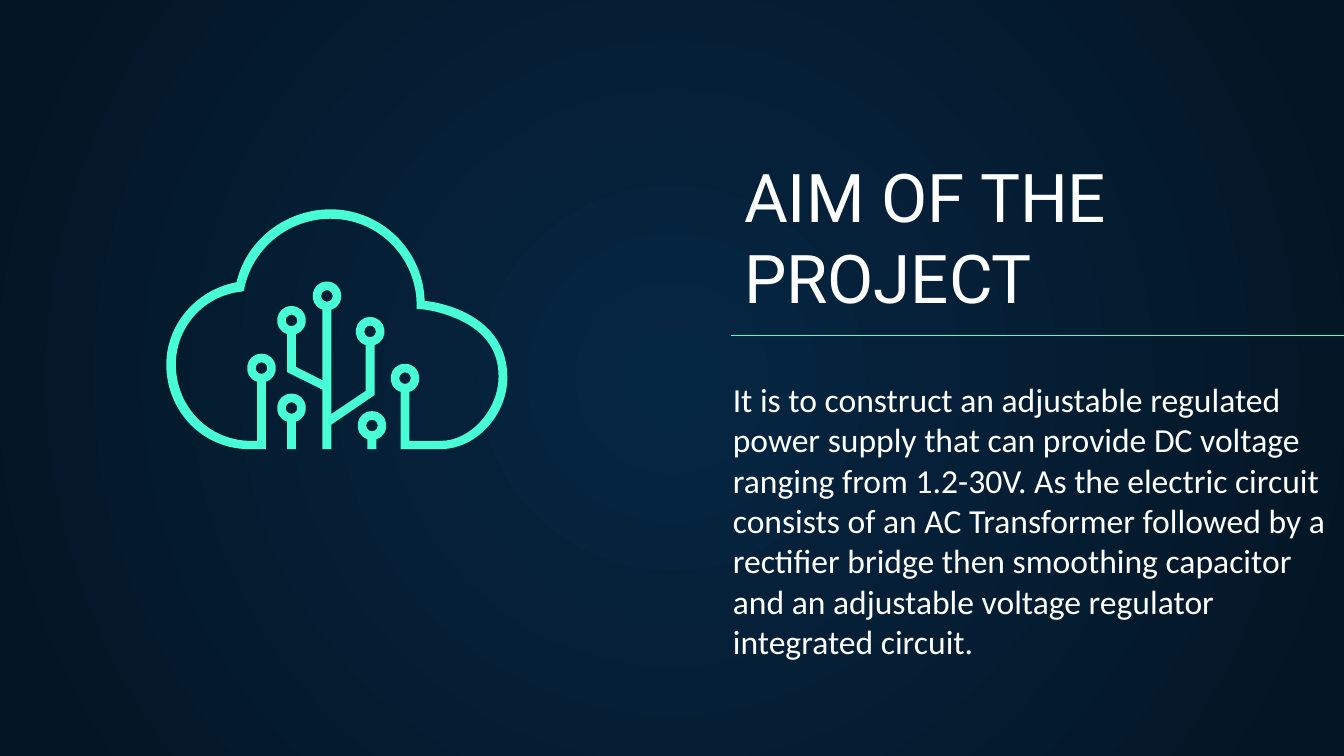
import math
from dataclasses import dataclass

from lxml import etree
from pptx import Presentation
from pptx.dml.color import RGBColor
from pptx.enum.shapes import MSO_CONNECTOR
from pptx.enum.text import MSO_ANCHOR, MSO_AUTO_SIZE, PP_ALIGN
from pptx.oxml.ns import qn
from pptx.util import Pt

LEFT = PP_ALIGN.LEFT
TOP, BOTTOM = MSO_ANCHOR.TOP, MSO_ANCHOR.BOTTOM
NO_FIT = MSO_AUTO_SIZE.NONE
STRAIGHT = MSO_CONNECTOR.STRAIGHT

WHITE = RGBColor(0xFF, 0xFF, 0xFF)
MINT = RGBColor(0x48, 0xFF, 0xD5)
NAVY = RGBColor(0x05, 0x26, 0x43)
MIDNIGHT = RGBColor(0x04, 0x15, 0x23)

# Icon measures, in points
RING, HOLE, HALF_STEM = 7.7, 3.1, 2.4
BASE, INNER_BASE = 240.6, 236.2

Point = tuple[float, float]
Segment = tuple[Point, ...]  # one point is a corner, three are a cubic curve
Contour = list[Segment]


@dataclass
class Node:
    x: float
    y: float

    @property
    def left(self) -> float:
        return self.x - HALF_STEM

    @property
    def right(self) -> float:
        return self.x + HALF_STEM

    def head(self) -> Contour:
        """Ring outline from the stem's right side over the top to its left."""
        gap = math.asin(HALF_STEM / RING)
        return arc(self, RING, gap, 2 * math.pi - gap, 2)

    def hole(self) -> Contour:
        return arc(self, HOLE, 2 * math.pi, 0, 3)


@dataclass
class TextBlock:
    text: str
    box: tuple[float, float, float, float]
    anchor: MSO_ANCHOR
    font: str
    size: float


def corners(*pts: Point) -> Contour:
    return [(p,) for p in pts]


def curves(start: Point, *pts: Point) -> Contour:
    """A start corner and joined cubic curves, three points for each."""
    return [(start,), *(pts[i:i + 3] for i in range(0, len(pts), 3))]


def arc(node: Node, radius: float, start: float, end: float, parts: int) -> Contour:
    """Cubic curves along a circle, with angles counted from straight down."""
    step = (end - start) / parts
    pull = 4 / 3 * math.tan(step / 4)

    def at(angle: float, tangent: float) -> Point:
        sin, cos = math.sin(angle), math.cos(angle)
        return (node.x + radius * (sin + tangent * cos),
                node.y + radius * (cos - tangent * sin))

    pts = [at(start, 0)]
    for i in range(parts):
        a, b = start + i * step, start + (i + 1) * step
        pts += [at(a, pull), at(b, -pull), at(b, 0)]
    return curves(*pts)


def draw_outline(shapes, contours: list[Contour]) -> None:
    builder = None
    for contour in contours:
        first, *rest = [(Pt(x), Pt(y)) for seg in contour for x, y in seg]
        if builder is None:
            builder = shapes.build_freeform(*first)
        else:
            builder.move_to(*first)
        builder.add_line_segments(rest, close=True)
    shape = builder.convert_to_shape()

    # Join each curve's three line steps into one cubic
    steps = iter(list(shape._element.iter(qn("a:lnTo"))))
    for seg in (seg for contour in contours for seg in contour[1:]):
        step = next(steps)
        if len(seg) == 3:
            step.tag = qn("a:cubicBezTo")
            for extra in (next(steps), next(steps)):
                step.append(extra[0])
                extra.getparent().remove(extra)

    shape.shadow.inherit = False
    shape.fill.solid()
    shape.fill.fore_color.rgb = MINT
    shape.line.fill.background()


def fill_text(shape, block: TextBlock) -> None:
    for name, value in zip(("left", "top", "width", "height"), block.box):
        setattr(shape, name, Pt(value))
    tf = shape.text_frame
    frame_format = {"word_wrap": True, "auto_size": NO_FIT,
                    "vertical_anchor": block.anchor}
    frame_format.update({f"margin_{side}": Pt(7.2)
                         for side in ("left", "top", "right", "bottom")})
    p = tf.paragraphs[0]
    r = p.add_run()
    r.text = block.text
    formats = (
        (tf, frame_format),
        (p, {"alignment": LEFT, "space_before": Pt(0)}),
        (r.font, {"name": block.font, "size": Pt(block.size), "bold": False}),
    )
    for target, values in formats:
        for name, value in values.items():
            setattr(target, name, value)
    r.font.color.rgb = WHITE


def paint_background(s) -> None:
    fill = s.background.fill
    fill.gradient()
    for stop, color, position in zip(fill.gradient_stops, (NAVY, MIDNIGHT), (0, 1)):
        stop.color.rgb = color
        stop.position = position
    grad = next(s._element.iter(qn("a:gradFill")))
    radial = etree.Element(qn("a:path"), {"path": "circle"})
    etree.SubElement(radial, qn("a:fillToRect"),
                     {side: "50000" for side in "ltrb"})
    grad.replace(grad.find(qn("a:lin")), radial)


def draw_rule(s, x1: float, x2: float, y: float) -> None:
    rule = s.shapes.add_connector(STRAIGHT, Pt(x1), Pt(y), Pt(x2), Pt(y))
    rule.line.color.rgb = MINT
    rule.line.width = Pt(0.75)
    etree.SubElement(rule._element.spPr, qn("a:effectLst"))


def draw_cloud(s) -> None:
    shapes = s.shapes.add_group_shape().shapes

    # Trunk with its two branches
    right, trunk, left = Node(198.3, 177.6), Node(175.2, 158.6), Node(156.2, 171.7)
    tree = [*corners((right.right, 211.7)), *right.head(),
            *corners((right.left, 209.5), (trunk.right, 221.8)), *trunk.head(),
            *corners((trunk.left, 203.8), (left.right, 196.6)), *left.head(),
            *corners((left.left, 199.4), (trunk.left, 208.8), (trunk.left, BASE),
                     (trunk.right, BASE), (trunk.right, 227.5))]
    draw_outline(shapes, [tree, right.hole(), trunk.hole(), left.hole()])

    # Cloud band, ending in a node at each side
    west, east = Node(140.1, 197.2), Node(217, 202.6)
    cloud = [
        *curves((227.5, 161.2), (226.8, 135.4), (206.6, 114.5), (181.4, 112.3),
                (156.2, 110.2), (132.5, 126.7), (126.7, 151.2),
                (103.7, 155.5), (87.1, 176.4), (89.3, 199.4),
                (91.4, 223.2), (110.9, 241.2), (134.6, BASE)),
        *corners((west.right, BASE)), *west.head(),
        *corners((west.left, INNER_BASE)),
        *curves((134.6, INNER_BASE), (113, 236.2), (95.8, 219.6), (94.3, 198),
                (92.9, 177.1), (108, 158.4), (129.6, 156.2)),
        *corners((131, 155.5)),
        *curves((131, 154.1), (136.1, 131), (157.7, 115.2), (181.4, 117.4),
                (205.2, 119.5), (223.2, 139.7), (223.2, 163.4)),
        *corners((223.2, 165.6)),
        *curves((225.4, 165.6), (232.6, 166.3), (239.8, 168.5), (246.2, 171.4),
                (259.9, 177.8), (267.1, 187.9), (267.1, 201.6),
                (267.1, 219.6), (252, 236.2), (236.2, INNER_BASE)),
        *corners((east.right, INNER_BASE)), *east.head(),
        *corners((east.left, BASE)),
        *curves((236.2, BASE), (254.9, 240.6), (271.8, 222.5), (271.8, 202.3),
                (271.8, 169.2), (236.9, 162), (227.5, 161.2)),
    ]
    draw_outline(shapes, [cloud, west.hole(), east.hole()])

    # Short free-standing nodes
    for node in (Node(156.2, 218.6), Node(199.3, 228)):
        pin = [*node.head(), *corners((node.left, BASE), (node.right, BASE))]
        draw_outline(shapes, [pin, node.hole()])


TITLE = TextBlock("AIM OF THE PROJECT", (391.4, 163.8, 331.2, 11.5),
                  BOTTOM, "Roboto", 36)
BODY = TextBlock(
    "It is to construct an adjustable regulated power supply that can provide "
    "DC voltage ranging from 1.2-30V. As the electric circuit consists of an AC "
    "Transformer followed by a rectifier bridge then smoothing capacitor and an "
    "adjustable voltage regulator integrated circuit.",
    (385.4, 195.8, 334.6, 159.1), TOP, "Calibri", 18)


def main() -> None:
    prs = Presentation()
    prs.slide_width, prs.slide_height = Pt(720), Pt(405)
    s = prs.slides.add_slide(prs.slide_layouts[0])
    paint_background(s)
    for shape, block in zip(s.placeholders, (TITLE, BODY)):
        fill_text(shape, block)
    draw_rule(s, 391.4, 741.6, 179.7)
    draw_cloud(s)
    prs.save("out.pptx")


if __name__ == "__main__":
    main()
